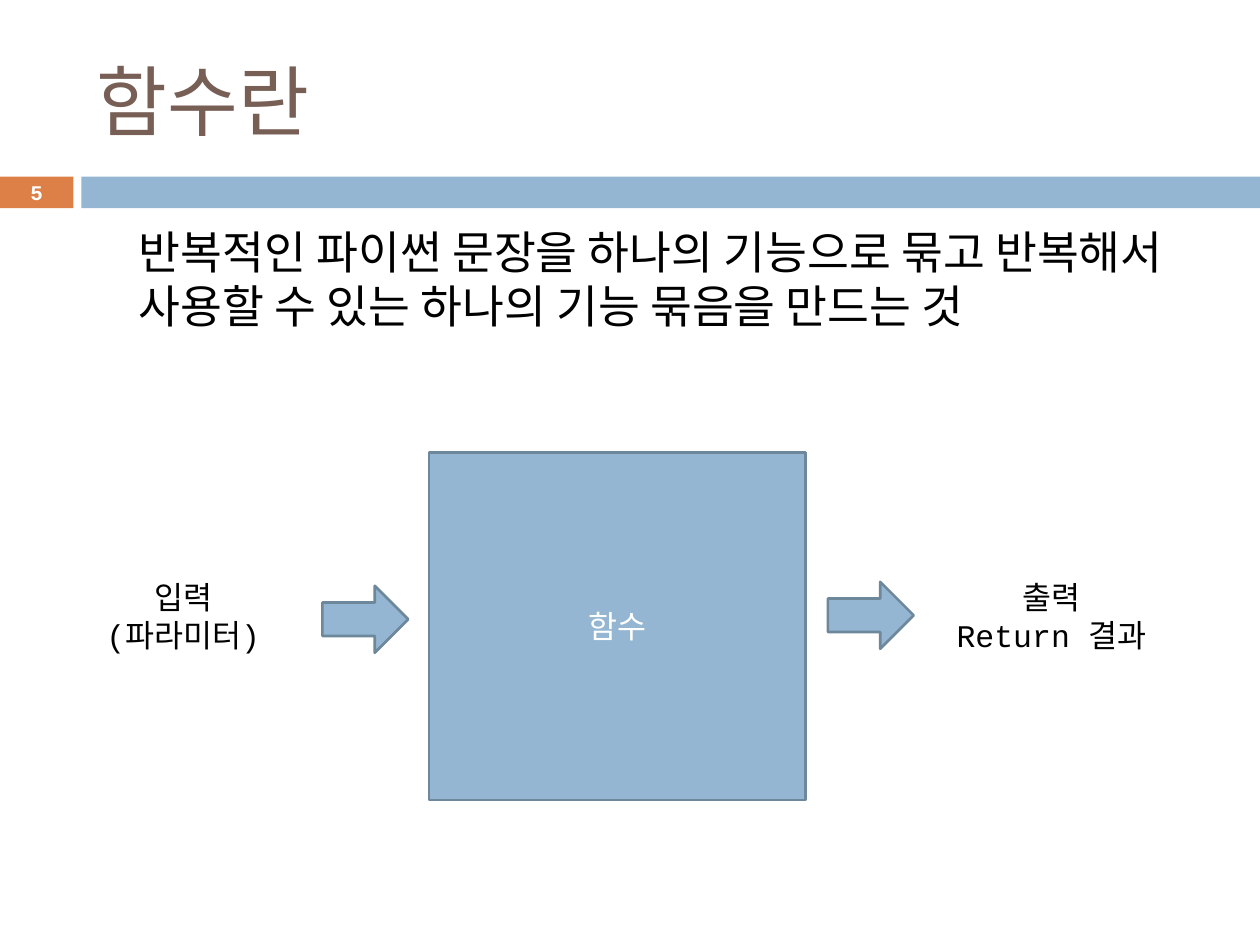
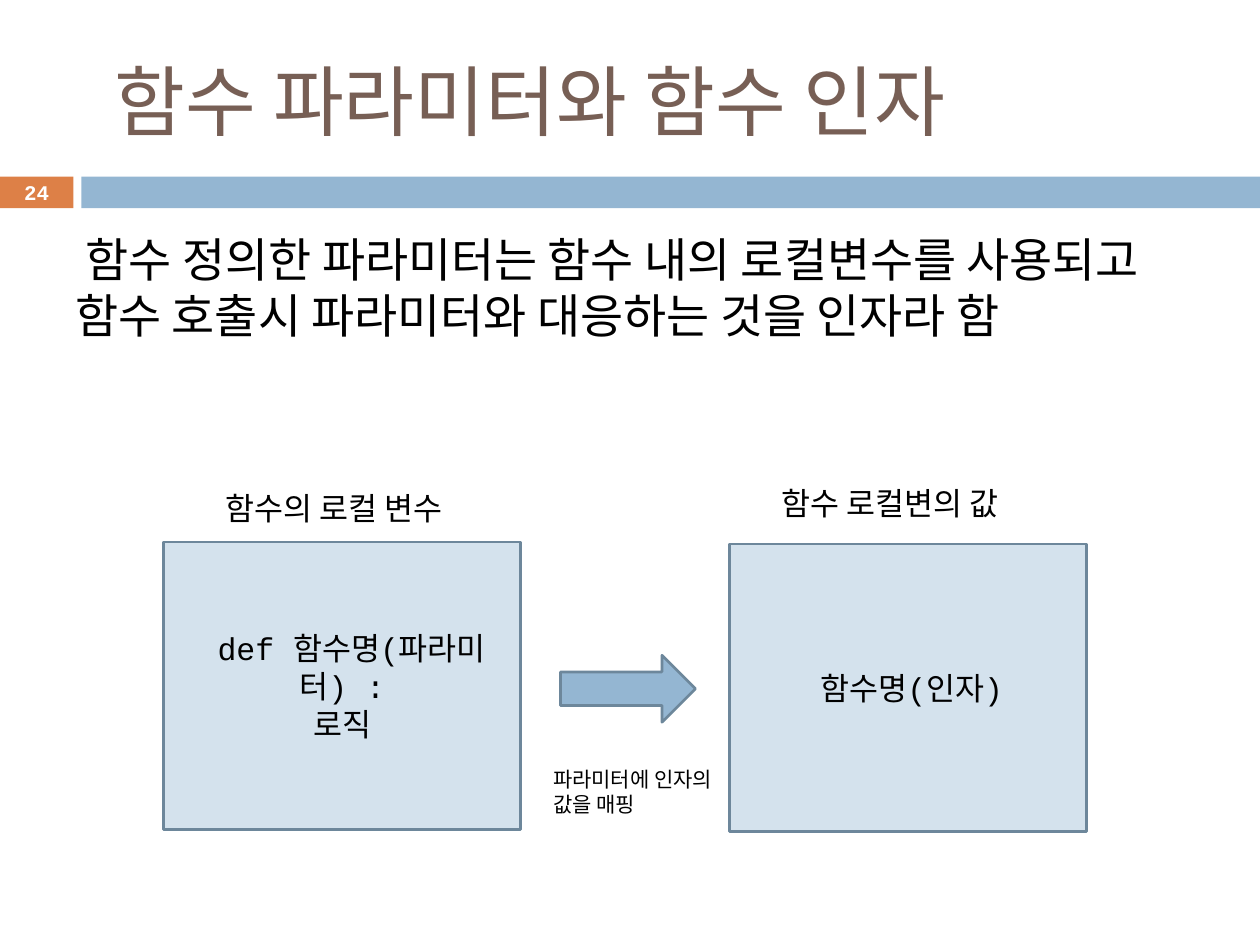
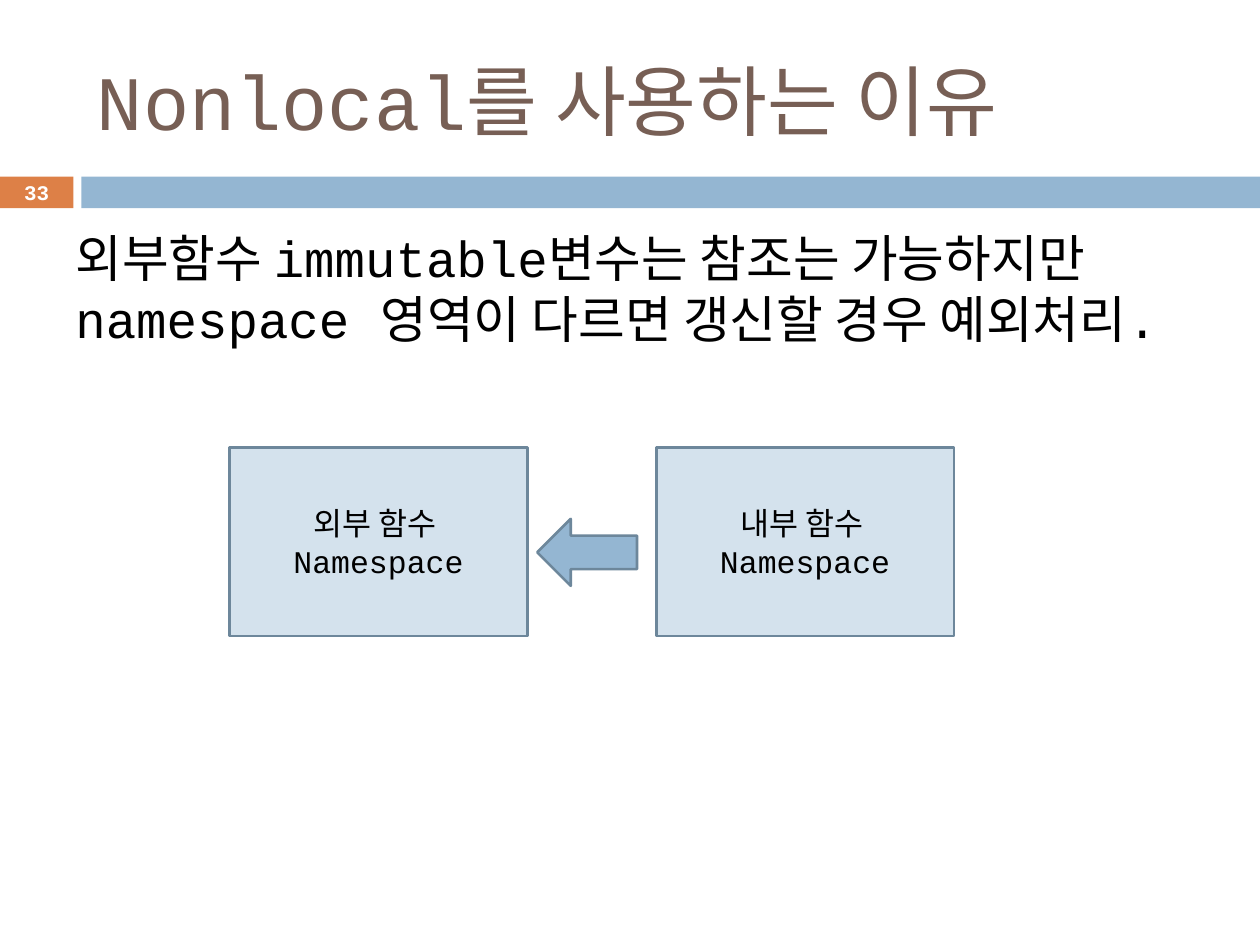
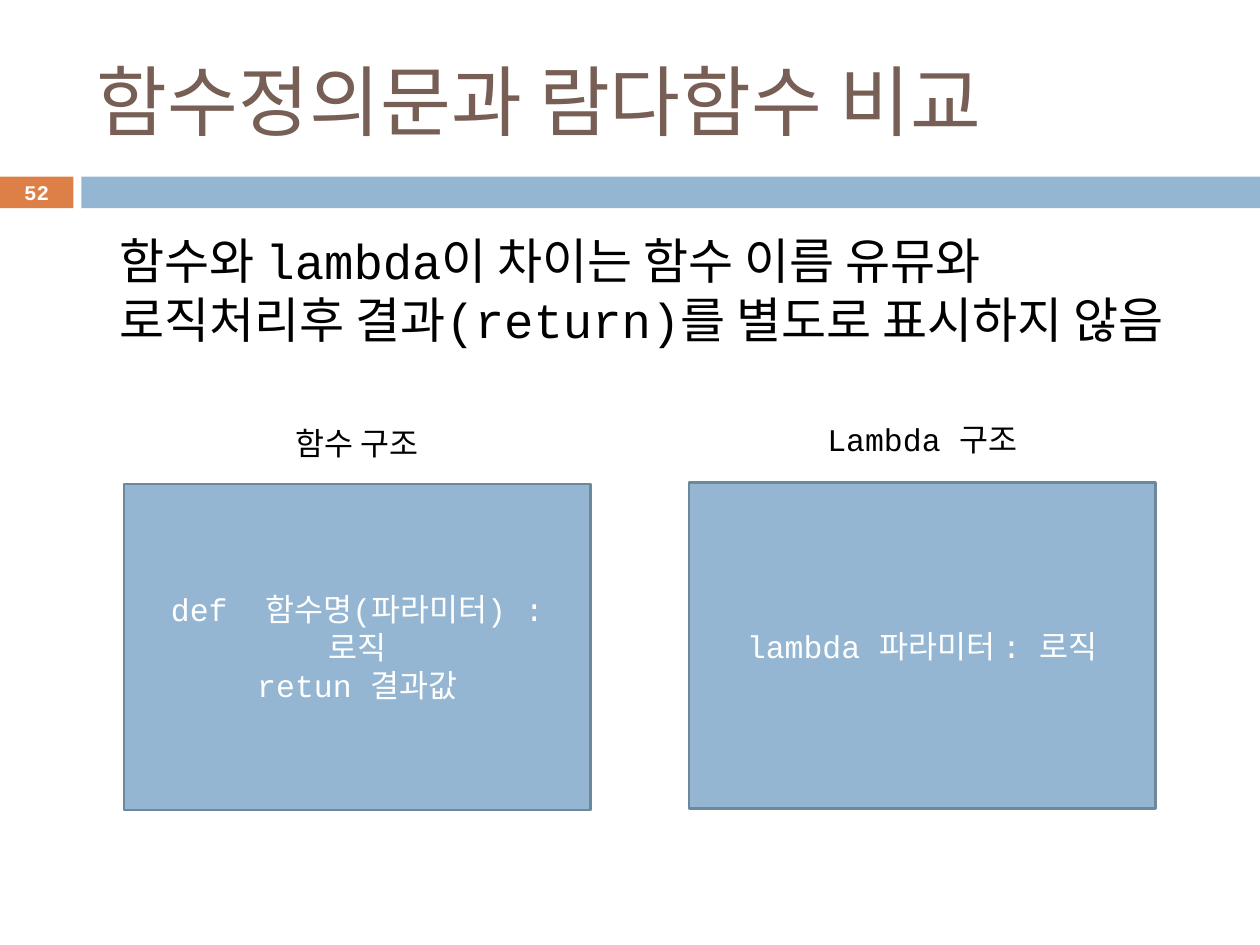
import pptx
import pptx.util
import pptx.dml.color
import pptx.enum.shapes
import pptx.enum.text

Cm = pptx.util.Cm
Pt = pptx.util.Pt
RGBColor = pptx.dml.color.RGBColor
SHAPE = pptx.enum.shapes.MSO_SHAPE
ANCHOR = pptx.enum.text.MSO_ANCHOR
ALIGN = pptx.enum.text.PP_ALIGN
AUTO_SIZE = pptx.enum.text.MSO_AUTO_SIZE

FONT = "Courier New"
BLACK = RGBColor(0x00, 0x00, 0x00)
WHITE = RGBColor(0xFF, 0xFF, 0xFF)
BROWN = RGBColor(0x77, 0x5F, 0x55)
ORANGE = RGBColor(0xDD, 0x80, 0x47)
BLUE = RGBColor(0x94, 0xB6, 0xD2)
PALE_BLUE = RGBColor(0xD4, 0xE2, 0xED)
EDGE = RGBColor(0x6D, 0x87, 0x9B)

BODY_LEFT, BODY_WIDTH = 1.27, 22.86
BAND_TOP, BAND_HEIGHT = 3.56, 0.64
NUMBER_WIDTH = 1.48
ARROW_HEIGHT = 1.35


def place(sp, left, top, width, height):
    sp.left, sp.top, sp.width, sp.height = Cm(left), Cm(top), Cm(width), Cm(height)


def write(sp, text, size, color, align=ALIGN.LEFT, anchor=ANCHOR.TOP, bold=False):
    tf = sp.text_frame
    tf.text = text
    tf.word_wrap = True
    tf.vertical_anchor = anchor
    for p in tf.paragraphs:
        p.alignment = align
        for r in p.runs:
            r.font.size = Pt(size)
            r.font.bold = bold
            r.font.color.rgb = color
            r.font.name = FONT
    return tf


def add_filled(s, kind, left, top, width, height, fill, line=None):
    sp = s.shapes.add_shape(kind, Cm(left), Cm(top), Cm(width), Cm(height))
    sp.shadow.inherit = False
    sp.fill.solid()
    sp.fill.fore_color.rgb = fill
    if line is None:
        sp.line.fill.background()
    else:
        sp.line.color.rgb = line
        sp.line.width = Pt(1.5)
    return sp


def add_box(s, text, left, top, width, height, fill, color):
    sp = add_filled(s, SHAPE.RECTANGLE, left, top, width, height, fill, EDGE)
    write(sp, text, 18, color, ALIGN.CENTER, ANCHOR.MIDDLE)


def add_arrow(s, left, top, width, rotation=0):
    sp = add_filled(s, SHAPE.RIGHT_ARROW, left, top, width, ARROW_HEIGHT, BLUE, EDGE)
    sp.rotation = rotation


def add_text(s, text, left, top, width, height, size=18, color=BLACK, **style):
    sp = s.shapes.add_textbox(Cm(left), Cm(top), Cm(width), Cm(height))
    return write(sp, text, size, color, **style)


def add_label(s, text, left, top, width, height=1.02, size=18, align=ALIGN.LEFT):
    tf = add_text(s, text, left, top, width, height, size, align=align)
    tf.auto_size = AUTO_SIZE.SHAPE_TO_FIT_TEXT


def add_body(s, text, top, height, size, space_before=7, level=0, indent=0):
    p = add_text(s, text, BODY_LEFT, top, BODY_WIDTH, height, size).paragraphs[0]
    p.space_before = Pt(space_before)
    p.level = level
    pPr = p._p.get_or_add_pPr()
    pPr.set("marL", str(Cm(indent)))
    pPr.set("indent", "0")


def add_slide(prs, title, number):
    s = prs.slides.add_slide(prs.slide_layouts[5])
    add_filled(s, SHAPE.RECTANGLE, 0, BAND_TOP, NUMBER_WIDTH, BAND_HEIGHT, ORANGE)
    add_filled(s, SHAPE.RECTANGLE, 1.64, BAND_TOP, 23.76, BAND_HEIGHT, BLUE)
    place(s.shapes.title, 1.7, 0.64, 22.66, 2.74)
    tf = write(s.shapes.title, title, 44, BROWN, anchor=ANCHOR.MIDDLE)
    tf.auto_size = AUTO_SIZE.NONE
    add_text(s, str(number), 0, 3.53, NUMBER_WIDTH, 0.69, 11.9, WHITE,
             align=ALIGN.CENTER, anchor=ANCHOR.MIDDLE, bold=True)
    return s


def add_function_slide(prs):
    s = add_slide(prs, "함수란", 5)
    add_body(s, "반복적인 파이썬 문장을 하나의 기능으로 묶고 반복해서 "
             "사용할 수 있는 하나의 기능 묶음을 만드는 것", 4.39, 3.15, 26, 5.5, 1, 1.28)
    add_box(s, "함수", 8.65, 9.12, 7.59, 7.01, BLUE, WHITE)
    add_arrow(s, 6.5, 11.81, 1.73)
    add_arrow(s, 16.69, 11.73, 1.73)
    add_label(s, "입력\n(파라미터)", 1.5, 11.53, 4.39, 1.8, align=ALIGN.CENTER)
    add_label(s, "출력\nReturn 결과", 18.9, 11.53, 4.6, 1.8, align=ALIGN.CENTER)


def add_parameter_slide(prs):
    s = add_slide(prs, " 함수 파라미터와 함수 인자", 24)
    add_body(s, " 함수 정의한 파라미터는 함수 내의 로컬변수를 사용되고 "
             "함수 호출시 파라미터와 대응하는 것을 인자라 함", 4.52, 3.99, 26.8)
    for text, left, top in ((" def 함수명(파라미터) :\n로직", 3.3, 10.93),
                            (" 함수명(인자)", 14.71, 10.97)):
        add_box(s, text, left, top, 7.2, 5.79, PALE_BLUE, BLACK)
    add_arrow(s, 11.3, 13.21, 2.72)
    add_label(s, "함수의 로컬 변수", 4.29, 9.73, 5.59)
    add_label(s, "함수 로컬변의 값", 15.5, 9.63, 5.59)
    add_label(s, "파라미터에 인자의 값을 매핑", 10.9, 15.32, 3.81, 1.27, 12)


def add_nonlocal_slide(prs):
    s = add_slide(prs, "Nonlocal를 사용하는 이유", 33)
    add_body(s, "외부함수 immutable변수는 참조는 가능하지만 "
             "namespace 영역이 다르면 갱신할 경우 예외처리.", 4.45, 3.89, 29)
    for scope, left in (("외부", 4.63), ("내부", 13.23)):
        add_box(s, f"{scope} 함수 \nNamespace", left, 9.02, 6, 3.8, PALE_BLUE, BLACK)
    add_arrow(s, 10.83, 10.46, 2.01, 180)


def add_lambda_slide(prs):
    s = add_slide(prs, "함수정의문과 람다함수 비교", 52)
    add_body(s, "함수와 lambda이 차이는 함수 이름 유뮤와 "
             "로직처리후 결과(return)를 별도로 표시하지 않음", 4.52, 3.61, 28, 5.5, 1, 0.89)
    for text, left, top in (("def  함수명(파라미터) :\n로직\nretun 결과값", 2.5, 9.76),
                            ("lambda 파라미터 : 로직", 13.89, 9.73)):
        add_box(s, text, left, top, 9.41, 6.57, BLUE, WHITE)
    add_label(s, "함수 구조", 3.7, 8.43, 7.01, align=ALIGN.CENTER)
    add_label(s, "Lambda 구조", 15.09, 8.34, 7.01, align=ALIGN.CENTER)


def main():
    prs = pptx.Presentation()
    prs.slide_width, prs.slide_height = Cm(25.4), Cm(19.05)
    add_function_slide(prs)
    add_parameter_slide(prs)
    add_nonlocal_slide(prs)
    add_lambda_slide(prs)
    prs.save("out.pptx")


if __name__ == "__main__":
    main()
